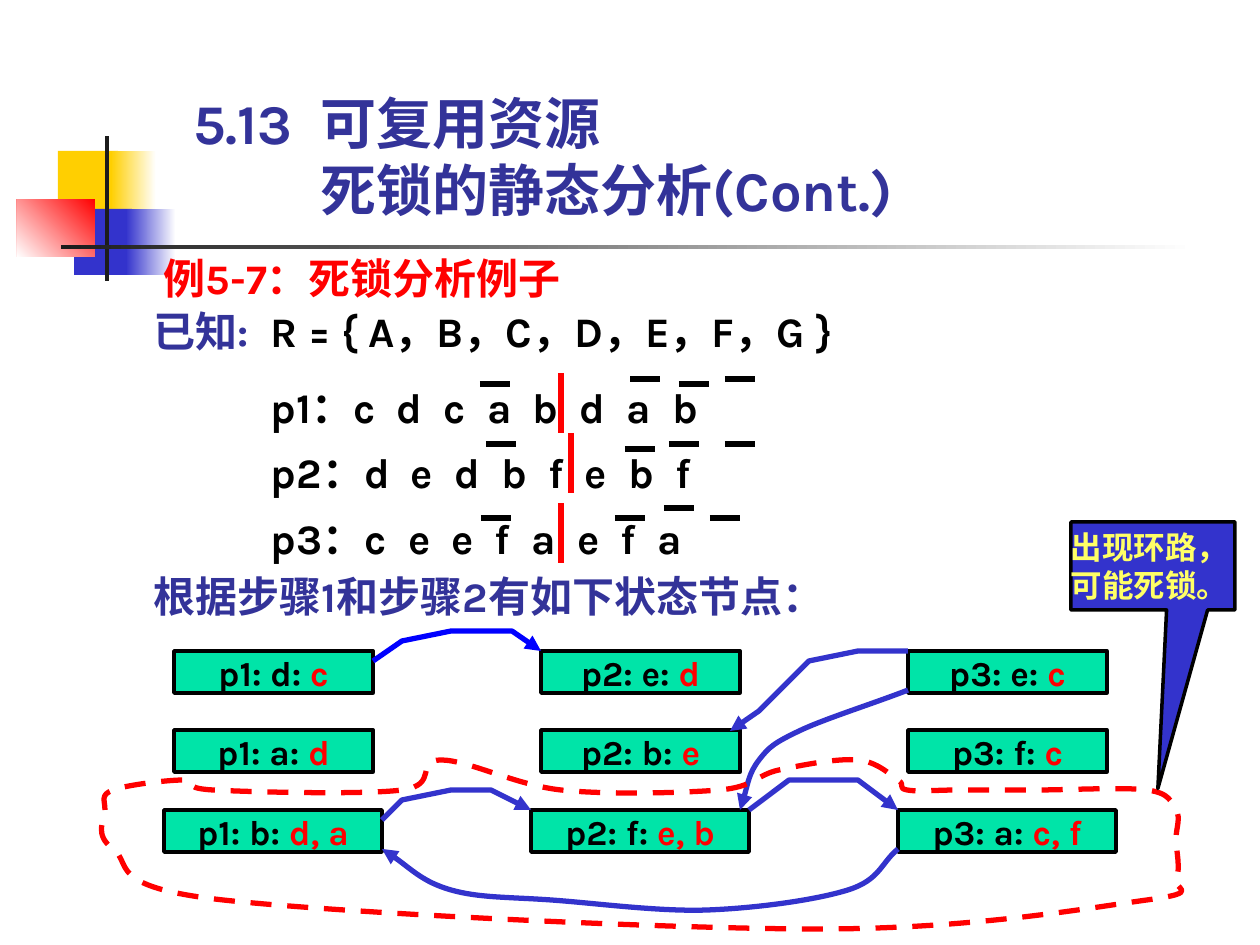
import pptx
import pptx.dml.color
import pptx.enum.dml
import pptx.enum.shapes
import pptx.enum.text
import pptx.oxml
import pptx.oxml.ns
import pptx.util

RGB = pptx.dml.color.RGBColor
WHITE = RGB(0xFF, 0xFF, 0xFF)
BLACK = RGB(0x00, 0x00, 0x00)
INK = RGB(0x1C, 0x1C, 0x1C)
RED = RGB(0xFF, 0x00, 0x00)
GOLD = RGB(0xFF, 0xCF, 0x01)
BLUE = RGB(0x33, 0x33, 0xCC)
PURE = RGB(0x00, 0x00, 0xFF)
NAVY = RGB(0x33, 0x33, 0x99)
MINT = RGB(0x00, 0xE4, 0xA8)
LEMON = RGB(0xFF, 0xFF, 0x66)

KINDS = pptx.enum.shapes.MSO_SHAPE
ALIGN = pptx.enum.text.PP_ALIGN
ANCHOR = pptx.enum.text.MSO_ANCHOR
SCALE = 914400 / 126

NODES = (
    (("p1: d", "c"), ("p2: e", "d"), ("p3: e", "c")),
    (("p1: a", "d"), ("p2: b", "e"), ("p3: f", "c")),
    (("p1: b", "d, a"), ("p2: f", "e, b"), ("p3: a", "c, f")),
)
NODE_HIGH = 42
STEPS = (("p1", "cdcabdab"), ("p2", "dedbfebf"), ("p3", "ceefaefa"))
BARS = (
    ((480, 384), (630, 379), (679, 384), (725, 379)),
    ((486, 444), (625, 449), (669, 444), (725, 444)),
    ((481, 518), (615, 518), (664, 508), (710, 518)),
)
TICKS = ((561, 373), (571, 433), (561, 503))
LOOP = (
    (105, 810), (113, 790), (184, 780), (213, 790), (402, 790), (441, 760),
    (561, 790), (719, 790), (779, 770), (858, 760), (898, 780), (907, 790),
    (958, 790), (1037, 790), (1147, 790), (1176, 810), (1176, 839),
    (1176, 879), (1147, 900), (819, 929), (223, 900), (113, 849),
)


def px(n):
    return pptx.util.Emu(round(n * SCALE))


def tag(parent, name, **values):
    return parent.makeelement(pptx.oxml.ns.qn("a:" + name), values)


def write(para, text, size=24, color=NAVY, font="Karla", extra=0):
    run = para.add_run()
    run.text = text
    run.font.size = pptx.util.Pt(size)
    run.font.name = font
    run.font.bold = True
    run.font.color.rgb = color
    if extra:
        run._r.get_or_add_rPr().set("spc", str(round(extra * 100)))


def spread(para, words, size=24, color=NAVY):
    for index, word in enumerate(words):
        if index:
            write(para, " ", size=size, color=color, extra=size / 4)
        write(para, word, size=size, color=color)


def indent(para, left):
    props = para._p.get_or_add_pPr()
    props.set("marL", str(px(left)))
    props.set("indent", "0")


def node_box(row, col):
    wide = 218 if row == 2 else 199
    middle = 273 + 367 * col
    return middle - wide // 2, 651 + 159 * row // 2, wide, NODE_HIGH


def left(row, col, drop=0):
    x, y, wide, high = node_box(row, col)
    return x, y + drop


def right(row, col, drop=0):
    x, y, wide, high = node_box(row, col)
    return x + wide, y + drop


def beyond(end, inner):
    return 2 * end[0] - inner[0], 2 * end[1] - inner[1]


def smooth(knots, closed):
    if closed:
        knots = [knots[-1], *knots, knots[0], knots[1]]
    else:
        knots = [beyond(knots[0], knots[1]), *knots, beyond(knots[-1], knots[-2])]
    points = [knots[1]]
    for before, start, end, after in zip(knots, knots[1:], knots[2:], knots[3:]):
        points.append(tuple(s + (e - b) / 6 for b, s, e in zip(before, start, end)))
        points.append(tuple(e - (a - s) / 6 for s, e, a in zip(start, end, after)))
        points.append(end)
    return points


class Board:
    def __init__(self, deck):
        self.font = "Karla"
        self.slide = deck.slides.add_slide(deck.slide_layouts[6])
        self.shapes = self.slide.shapes

    def frame(self, shape, anchor=ANCHOR.TOP, pad=0):
        frame = shape.text_frame
        frame.word_wrap = True
        frame.auto_size = pptx.enum.text.MSO_AUTO_SIZE.SHAPE_TO_FIT_TEXT
        frame.vertical_anchor = anchor
        frame.margin_left = frame.margin_right = 0
        frame.margin_top = frame.margin_bottom = px(pad)
        return frame

    def text(self, box, anchor=ANCHOR.TOP):
        return self.frame(self.shapes.add_textbox(*map(px, box)), anchor)

    def stroke(self, shape, color, width=3):
        shape.line.color.rgb = color
        shape.line.width = pptx.util.Pt(width)

    def block(self, box, fill, fade=None, angle=180, edge=None, kind=KINDS.RECTANGLE):
        shape = self.shapes.add_shape(kind, *map(px, box))
        shape.shadow.inherit = False
        if fade is None:
            shape.fill.solid()
            shape.fill.fore_color.rgb = fill
        else:
            shape.fill.gradient()
            shape.fill.gradient_angle = angle
            for stop, color in zip(shape.fill.gradient_stops, (fill, fade)):
                stop.color.rgb = color
        if edge is None:
            shape.line.fill.background()
        else:
            self.stroke(shape, edge, 2)
        return shape

    def node(self, box, name, needs):
        para = self.frame(self.block(box, MINT, edge=BLACK)).paragraphs[0]
        para.alignment = ALIGN.CENTER
        write(para, name + ": ", size=20, color=BLACK)
        write(para, needs, size=20, color=RED)

    def line(self, x, y, wide=0, high=0, color=BLACK):
        kind = pptx.enum.shapes.MSO_CONNECTOR.STRAIGHT
        line = self.shapes.add_connector(kind, *map(px, (x, y, x + wide, y + high)))
        self.stroke(line, color)
        props = line._element.spPr
        props.append(tag(props, "effectLst"))

    def free(self, points, color, closed=False):
        pen = self.shapes.build_freeform(*points[0], scale=SCALE)
        pen.add_line_segments(points[1:], close=closed)
        shape = pen.convert_to_shape()
        shape.shadow.inherit = False
        shape.fill.background()
        self.stroke(shape, color)
        return shape

    def curve(self, knots, color, closed=False):
        shape = self.free(smooth(knots, closed), color, closed)
        steps = list(shape._element.iter(pptx.oxml.ns.qn("a:lnTo")))
        for trio in zip(steps[::3], steps[1::3], steps[2::3]):
            bend = tag(trio[0], "cubicBezTo")
            trio[0].addprevious(bend)
            for step in trio:
                bend.append(step[0])
                step.getparent().remove(step)
        return shape

    def arrow(self, shape):
        edge = shape.line._get_or_add_ln()
        edge.append(tag(edge, "tailEnd", type="triangle"))


def draw_logo(board):
    board.block((58, 151, 60, 66), GOLD)
    board.block((111, 151, 45, 66), WHITE, GOLD)
    board.block((74, 209, 58, 66), BLUE)
    board.block((126, 209, 50, 66), WHITE, BLUE)
    board.block((17, 199, 78, 58), RED, WHITE, angle=225)
    board.block((105, 136, 4, 145), INK)
    board.block((61, 245, 1134, 4), WHITE, INK)


def draw_heads(board):
    title = board.text((193, 88, 814, 135), ANCHOR.BOTTOM)
    spread(title.paragraphs[0], ("5.13", "可复用资源"), size=32)
    para = title.add_paragraph()
    indent(para, 127)
    write(para, "死锁的静态分析(Cont.)", size=32)
    head = board.text((164, 253, 466, 50), ANCHOR.BOTTOM)
    write(head.paragraphs[0], "例5-7：死锁分析例子", color=RED)


def draw_given(board):
    given = board.text((154, 290, 863, 272))
    para = given.paragraphs[0]
    para.line_spacing = 1.3
    spread(para, ("已知:", ""))
    write(para, "R = { A，B，C，D，E，F，G }", color=BLACK)
    for index, (name, steps) in enumerate(STEPS):
        para = given.add_paragraph()
        para.line_spacing = 1.3
        para.space_before = pptx.util.Pt(0 if index else 6)
        indent(para, 117)
        write(para, name + "：", color=BLACK)
        spread(para, steps, color=BLACK)
    for row in BARS:
        for x, y in row:
            board.line(x, y, wide=30)


def draw_graph(board):
    for row, nodes in enumerate(NODES):
        for col, (name, needs) in enumerate(nodes):
            board.node(node_box(row, col), name, needs)
    states = board.text((154, 571, 745, 50))
    write(states.paragraphs[0], "根据步骤1和步骤2有如下状态节点：")

    low = NODE_HIGH - 3
    bent = (
        (PURE, (right(0, 0, 10), (402, 641), (451, 631), (512, 631), left(0, 1))),
        (BLUE, (right(2, 0, 10), (402, 800), (451, 790), (491, 790), left(2, 1))),
        (BLUE, (right(2, 1), (789, 780), (858, 780), left(2, 2))),
        (BLUE, (left(0, 2), (858, 651), (809, 661), (759, 711), (730, 731))),
    )
    for color, points in bent:
        board.arrow(board.free(points, color))
    round_trips = (
        (left(2, 2, low), (848, 890), (709, 910), (551, 900), (451, 890), right(2, 0, low)),
        (left(0, 2, low), (799, 731), (759, 760), (740, 810)),
    )
    for knots in round_trips:
        board.arrow(board.curve(knots, BLUE))
    loop = board.curve(LOOP, RED, closed=True)
    loop.line.dash_style = pptx.enum.dml.MSO_LINE.DASH


def draw_notes(board):
    call = board.block((1071, 522, 164, 88), BLUE, edge=BLACK, kind=KINDS.RECTANGULAR_CALLOUT)
    call.adjustments[0], call.adjustments[1] = 0.03, 2.53
    para = board.frame(call, pad=6).paragraphs[0]
    para.alignment = ALIGN.LEFT
    write(para, "出现环路，可能死锁。", size=18, color=LEMON)
    for x, y in TICKS:
        board.line(x, y, high=60, color=RED)


def main():
    deck = pptx.Presentation()
    deck.slide_width, deck.slide_height = px(1260), px(945)
    board = Board(deck)
    for draw in (draw_logo, draw_heads, draw_given, draw_graph, draw_notes):
        draw(board)
    deck.save("out.pptx")


if __name__ == "__main__":
    main()
